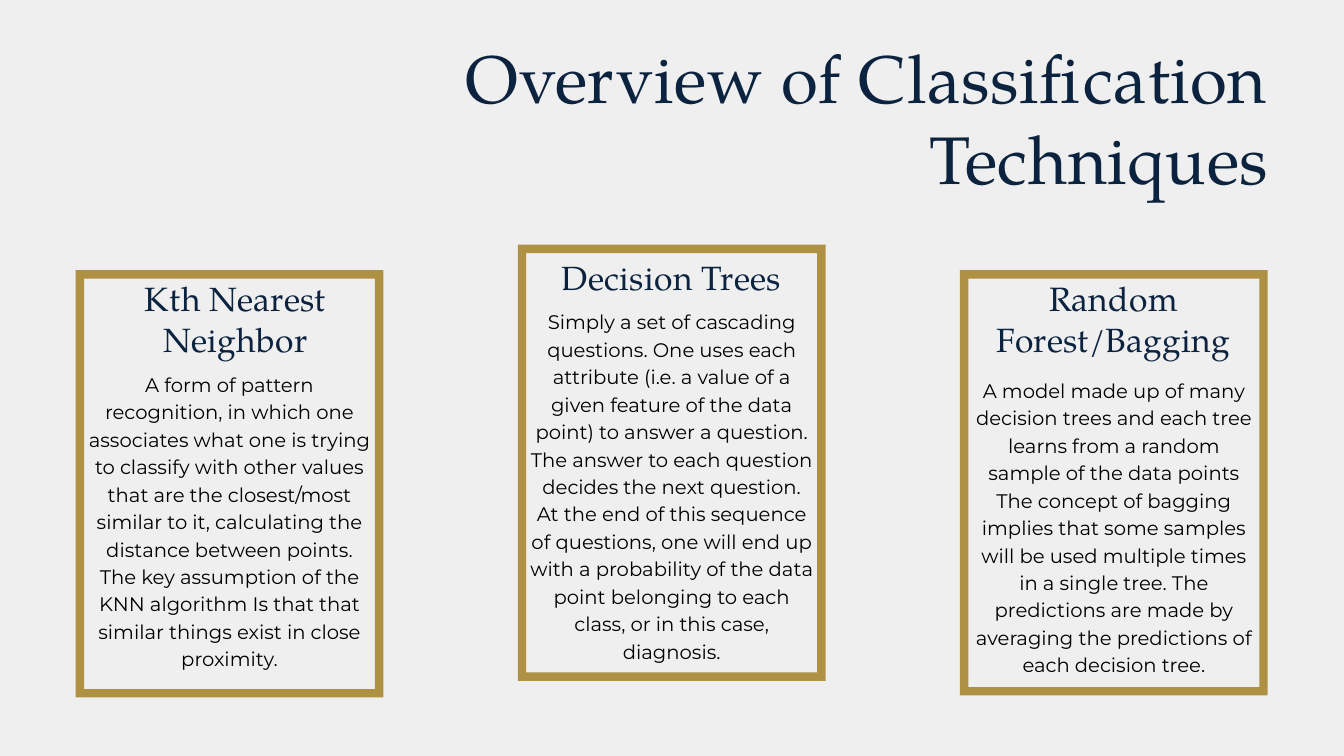
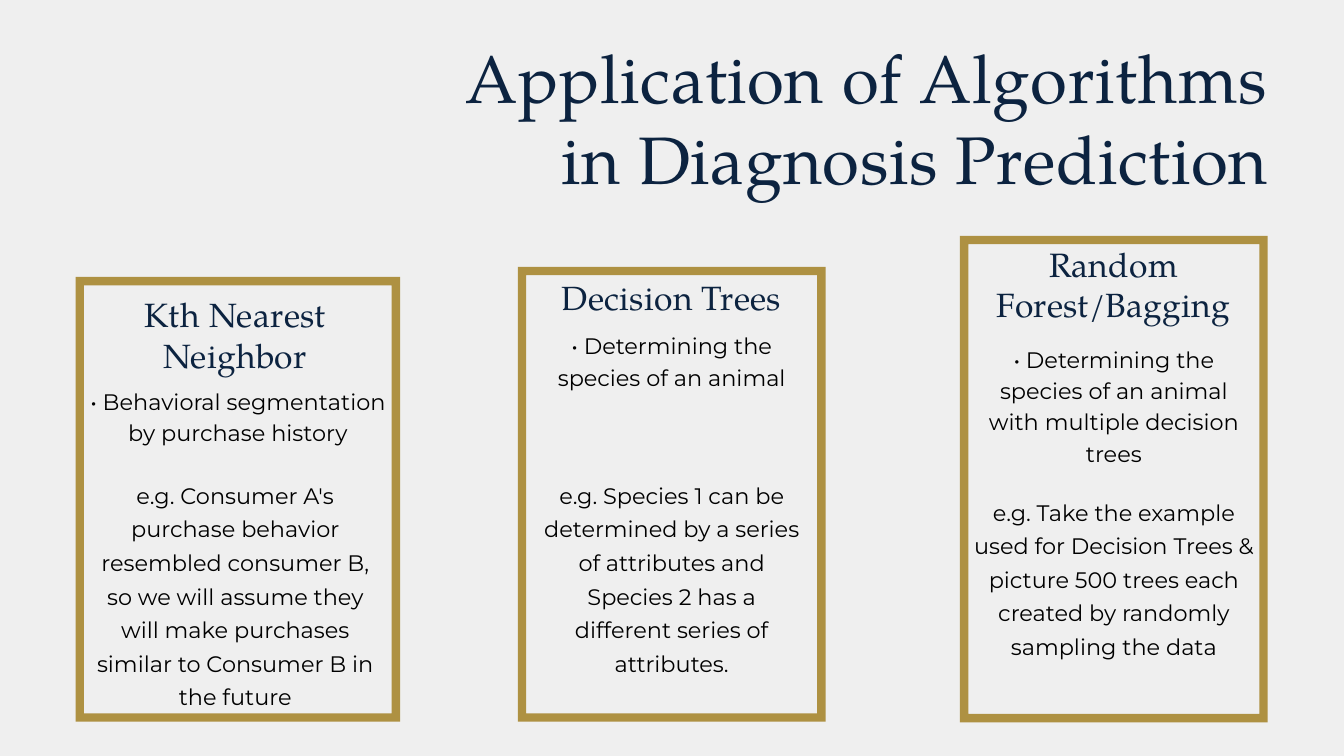
from dataclasses import dataclass

from pptx import Presentation
from pptx.dml.color import RGBColor
from pptx.enum.text import MSO_AUTO_SIZE, PP_ALIGN as Align
from pptx.util import Inches, Pt

BACKGROUND = "EFEFEF"
NAVY = "0C2340"
GOLD = "AE9142"
BLACK = "000000"
SERIF = "TeX Gyre Pagella"
SANS = "Montserrat"

FIRST_LEFT = 1.125
COLUMN_STEP = 6.58
BORDER = 0.125
KNN = "Kth Nearest Neighbor"
TREES = "Decision Trees"
FOREST = "Random Forest/Bagging"


@dataclass(frozen=True)
class TextStyle:
    font: str
    size: float
    color: str
    line: float
    align: Align = Align.CENTER
    spacing: float = 0


TITLE = TextStyle(SERIF, 72, NAVY, 86.4, Align.RIGHT, 0.7)
HEADING = TextStyle(SERIF, 36, NAVY, 43.2, spacing=0.4)
BODY = TextStyle(SANS, 21, BLACK, 29.4)
POINT = TextStyle(SANS, 24, BLACK, 33.6)
EXAMPLE = TextStyle(SANS, 24, BLACK, 36)


@dataclass(frozen=True)
class Block:
    style: TextStyle
    text: str
    top: float
    width: float
    height: float
    shift: float = 0


@dataclass(frozen=True)
class Card:
    top: float
    height: float
    blocks: tuple[Block, ...]
    width: float = 4.58


@dataclass(frozen=True)
class CardSlide:
    title: str
    cards: tuple[Card, ...]


SLIDES = (
    CardSlide("Overview of Classification Techniques", (
        Card(4.02, 6.36, (
            Block(HEADING, KNN, 4.14, 4.41, 1.2, 0.09),
            Block(BODY, "A form of pattern recognition, in which one associates what one is "
                  "trying to classify with other values that are the closest/most similar to "
                  "it, calculating the distance between points. The key assumption of the KNN "
                  "algorithm Is that that similar things exist in close proximity.",
                  5.49, 4.24, 4.44),
        )),
        Card(3.64, 6.49, (
            Block(HEADING, TREES, 3.83, 3.75, 0.6),
            Block(BODY, "Simply a set of cascading questions. One uses each attribute (i.e. a "
                  "value of a given feature of the data point) to answer a question. The "
                  "answer to each question decides the next question. At the end of this "
                  "sequence of questions, one will end up with a probability of the data "
                  "point belonging to each class, or in this case, diagnosis.",
                  4.56, 4.24, 5.22),
        )),
        Card(4.02, 6.33, (
            Block(HEADING, FOREST, 4.14, 3.75, 1.2),
            Block(BODY, "A model made up of many decision trees and each tree learns from a "
                  "random sample of the data points The concept of bagging implies that some "
                  "samples will be used multiple times in a single tree. The predictions are "
                  "made by averaging the predictions of each decision tree.",
                  5.58, 4.24, 4.41),
        )),
    )),
    CardSlide("Application of Algorithms in Diagnosis Prediction", (
        Card(4.12, 6.62, (
            Block(HEADING, KNN, 4.38, 4.41, 1.2, -0.04),
            Block(POINT, "• Behavioral segmentation by purchase history", 5.71, 4.5, 0.91),
            Block(EXAMPLE, "e.g. Consumer A's purchase behavior resembled consumer B, so we "
                  "will assume they will make purchases similar to Consumer B in the future",
                  7.07, 4.41, 3.5, -0.04),
        ), 4.83),
        Card(3.97, 6.77, (
            Block(HEADING, TREES, 4.12, 3.75, 0.6),
            Block(POINT, "• Determining the species of an animal", 4.88, 4.26, 0.91),
            Block(EXAMPLE, "e.g. Species 1 can be determined by a series of attributes and "
                  "Species 2 has a different series of attributes.", 7.07, 4, 2.99),
        )),
        Card(3.51, 7.24, (
            Block(HEADING, FOREST, 3.63, 3.75, 1.2),
            Block(POINT, "• Determining the species of an animal with multiple decision trees",
                  5.08, 4.2, 1.87),
            Block(EXAMPLE, "e.g. Take the example used for Decision Trees & picture 500 trees "
                  "each created by randomly sampling the data", 7.32, 4.2, 2.48),
        )),
    )),
)


def set_color(target, color: str) -> None:
    target.solid()
    target.fore_color.rgb = RGBColor.from_string(color)


def set_format(target, values: dict) -> None:
    for name, value in values.items():
        setattr(target, name, value)


def add_text(s, text: str, style: TextStyle, left: float, top: float,
             width: float, height: float) -> None:
    tf = s.shapes.add_textbox(*map(Inches, (left, top, width, height))).text_frame
    set_format(tf, {"word_wrap": True, "auto_size": MSO_AUTO_SIZE.SHAPE_TO_FIT_TEXT,
                    "margin_left": 0, "margin_top": 0,
                    "margin_right": 0, "margin_bottom": 0})
    p = tf.paragraphs[0]
    set_format(p, {"alignment": style.align, "line_spacing": Pt(style.line)})
    r = p.add_run()
    r.text = text
    set_format(r.font, {"name": style.font, "size": Pt(style.size)})
    set_color(r.font.fill, style.color)
    if style.spacing:
        r._r.get_or_add_rPr().set("spc", str(round(style.spacing * 100)))


def add_frame(s, left: float, top: float, width: float, height: float) -> None:
    right, bottom = left + width, top + height
    x1, x2 = left + BORDER, right - BORDER
    y1, y2 = top + BORDER, bottom - BORDER
    outer = [(left, top), (left, bottom), (right, bottom), (right, top)]
    inner = [(x2, y2), (x1, y2), (x1, y1), (x2, y1)]
    outer, inner = ([(Inches(x), Inches(y)) for x, y in ring] for ring in (outer, inner))
    builder = s.shapes.build_freeform(*outer[0])
    builder.add_line_segments(outer[1:], close=True)
    builder.move_to(*inner[0])
    builder.add_line_segments(inner[1:], close=True)
    sp = builder.convert_to_shape()
    sp.shadow.inherit = False
    set_color(sp.fill, GOLD)
    sp.line.fill.background()


def add_card(s, card: Card, left: float) -> None:
    add_frame(s, left, card.top, card.width, card.height)
    center = left + card.width / 2
    for block in card.blocks:
        add_text(s, block.text, block.style, center + block.shift - block.width / 2,
                 block.top, block.width, block.height)


def add_card_slide(prs, content: CardSlide) -> None:
    s = prs.slides.add_slide(prs.slide_layouts[6])
    set_color(s.background.fill, BACKGROUND)
    add_text(s, content.title, TITLE, 5.96, 0.54, 12.92, 2.37)
    for i, card in enumerate(content.cards):
        add_card(s, card, FIRST_LEFT + i * COLUMN_STEP)


def main() -> None:
    prs = Presentation()
    set_format(prs, {"slide_width": Inches(20), "slide_height": Inches(11.25)})
    for content in SLIDES:
        add_card_slide(prs, content)
    prs.save("out.pptx")


if __name__ == "__main__":
    main()
